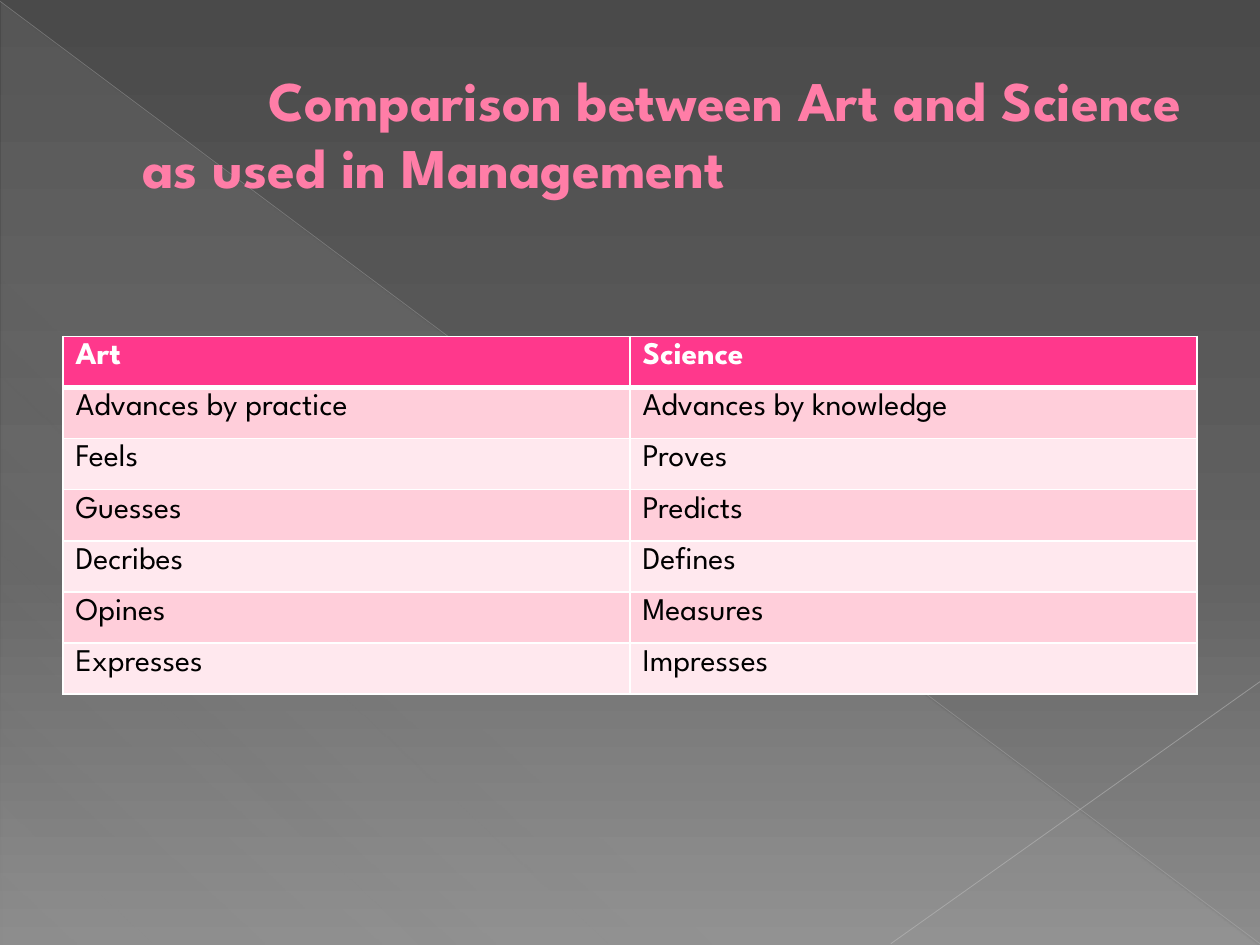
from lxml.etree import SubElement
from pptx import Presentation
from pptx.dml.color import RGBColor
from pptx.enum.shapes import MSO_CONNECTOR, MSO_SHAPE
from pptx.enum.text import MSO_ANCHOR, MSO_AUTO_SIZE, PP_ALIGN
from pptx.oxml.ns import qn
from pptx.util import Inches, Pt

FONT = "League Spartan"
COLOURS = {
    "title": "FF7DA7", "header": "FF388C", "odd": "FFCEDA", "even": "FFE8EE",
    "white": "FFFFFF", "black": "000000", "glow": "D2D2D2",
    "diagonal": "BFBFBF", "corner": "C6C6C6",
}
BACKDROP = [(0, "4A4A4A", 100), (60, "626262", 100), (100, "8C8C8C", 100)]
GLOW = [(0, COLOURS["glow"], 10), (70, COLOURS["glow"], 8), (100, COLOURS["glow"], 1)]
TITLE = "Comparison between Art and Science as used in Management"
ROWS = [
    ("Art", "Science"),
    ("Advances by practice", "Advances by knowledge"),
    ("Feels", "Proves"),
    ("Guesses", "Predicts"),
    ("Decribes", "Defines"),
    ("Opines", "Measures"),
    ("Expresses", "Impresses"),
]


def rgb(name):
    """Return the named colour."""
    return RGBColor.from_string(COLOURS[name])


def add_colour(parent, value, opacity=100):
    """Append a colour with an opacity in percent."""
    colour = SubElement(parent, qn("a:srgbClr"), val=value)
    if opacity < 100:
        SubElement(colour, qn("a:alpha"), val=str(opacity * 1000))


def set_gradient(fill, owner, stops, angle):
    """Give the fill inside owner a linear gradient of (place, colour, opacity)."""
    fill.gradient()
    gradient = owner.find(".//" + qn("a:gradFill"))
    stop_list = gradient.find(qn("a:gsLst"))
    for old_stop in list(stop_list):
        stop_list.remove(old_stop)
    for place, value, opacity in stops:
        stop = SubElement(stop_list, qn("a:gs"), pos=str(place * 1000))
        add_colour(stop, value, opacity)
    gradient.find(qn("a:lin")).set("ang", str(angle * 60000))


def add_hairline(page, start, end, colour, width, opacity):
    """Draw a faint straight line between two points."""
    line = page.shapes.add_connector(
        MSO_CONNECTOR.STRAIGHT, *map(Inches, (*start, *end)))
    line.line.width = Pt(width)
    line.line.color.rgb = rgb(colour)
    tint = line.element.spPr.find(".//" + qn("a:srgbClr"))
    SubElement(tint, qn("a:alpha"), val=str(opacity * 1000))
    SubElement(line.element.spPr, qn("a:effectLst"))


def add_scenery(page, width, height):
    """Fill the background and lay the light triangle and lines over it."""
    set_gradient(page.background.fill, page.element, BACKDROP, 90)
    triangle = page.shapes.add_shape(
        MSO_SHAPE.RIGHT_TRIANGLE, Inches(0.01), Inches(0.02),
        Inches(width - 0.02), Inches(height - 0.02))
    triangle.shadow.inherit = False
    set_gradient(triangle.fill, triangle.element.spPr, GLOW, 133)
    triangle.line.fill.background()
    add_hairline(page, (0, 0.01), (width, height - 0.01), "diagonal", 0.39, 35)
    add_hairline(page, (width, 5.41), (7.07, height - 0.01), "corner", 0.47, 45)


def add_title(page, left, top, width, height):
    """Place the title with a deep first-line indent, in front of the scenery."""
    title = page.shapes.title
    page.shapes.element.append(title.element)
    title.left, title.top, title.width, title.height = map(
        Inches, (left, top, width, height))
    frame = title.text_frame
    frame.text = TITLE
    frame.word_wrap = True
    frame.auto_size = MSO_AUTO_SIZE.NONE
    frame.vertical_anchor = MSO_ANCHOR.MIDDLE
    para = frame.paragraphs[0]
    para.alignment = PP_ALIGN.LEFT
    properties = para._p.get_or_add_pPr()
    properties.set("marL", str(Inches(0.53)))
    properties.set("indent", str(Inches(1)))
    para.font.name, para.font.size, para.font.bold = FONT, Pt(32), True
    para.font.color.rgb = rgb("title")


def set_borders(cell, widths):
    """Draw white cell borders, with widths in points by side."""
    properties = cell._tc.get_or_add_tcPr()
    for place, (side, width) in enumerate(widths.items()):
        border = properties.makeelement(qn("a:ln" + side), w=str(Pt(width)))
        add_colour(SubElement(border, qn("a:solidFill")), COLOURS["white"])
        properties.insert(place, border)


def add_comparison(page, left, top, width, height):
    """Place the banded table with its header row."""
    table = page.shapes.add_table(
        len(ROWS), len(ROWS[0]), *map(Inches, (left, top, width, height))).table
    for row, texts in enumerate(ROWS):
        header = row == 0
        band = "header" if header else "odd" if row % 2 else "even"
        for column, text in enumerate(texts):
            cell = table.cell(row, column)
            cell.text = text
            cell.fill.solid()
            cell.fill.fore_color.rgb = rgb(band)
            set_borders(cell, {"L": 1, "R": 1, "T": 3 if row == 1 else 1,
                               "B": 3 if header else 1})
            font = cell.text_frame.paragraphs[0].font
            font.name, font.size, font.bold = FONT, Pt(18), header
            font.color.rgb = rgb("white" if header else "black")


def build():
    """Build and save the deck."""
    deck = Presentation()
    width, height = 10, 7.5
    deck.slide_width, deck.slide_height = Inches(width), Inches(height)
    page = deck.slides.add_slide(deck.slide_layouts[5])
    margin = width / 20
    add_scenery(page, width, height)
    add_title(page, margin, 0.29, width - 2 * margin, 1.53)
    add_comparison(page, margin, 2.67, width - 2 * margin, 2.84)
    deck.save("out.pptx")


build()
